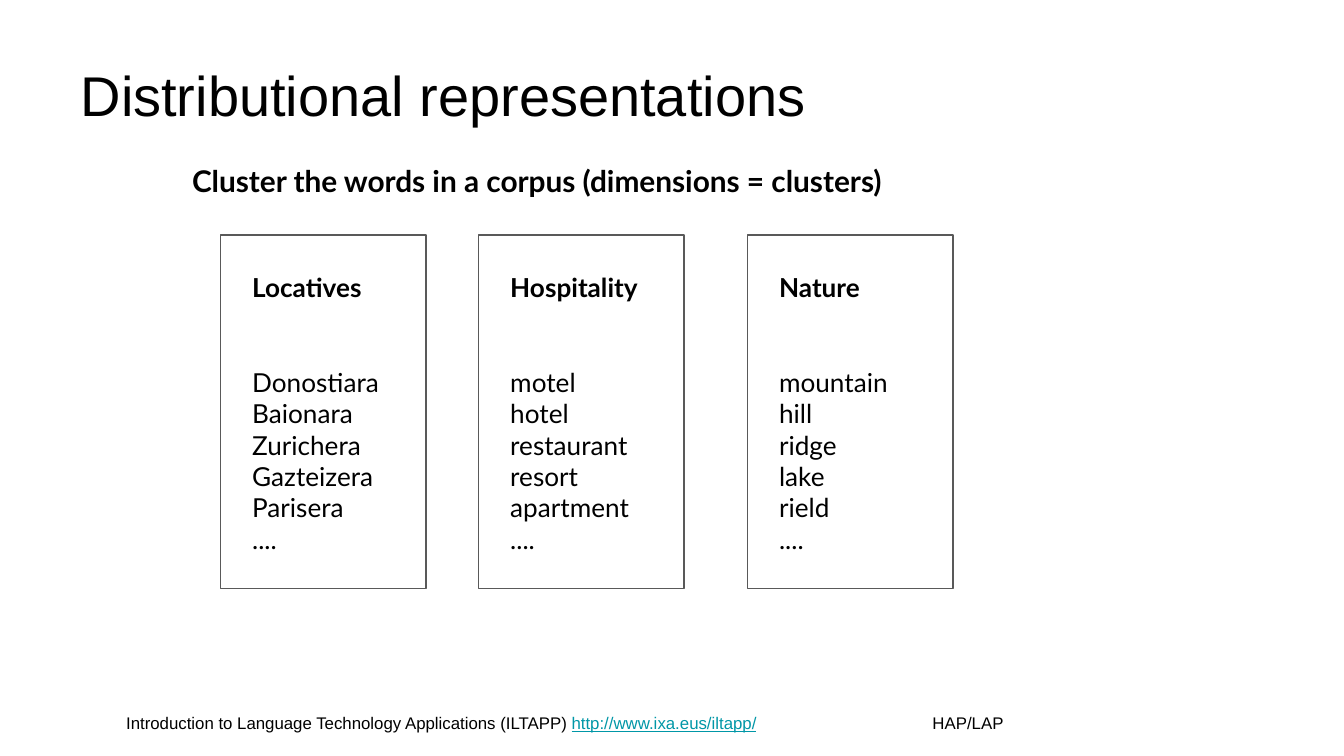
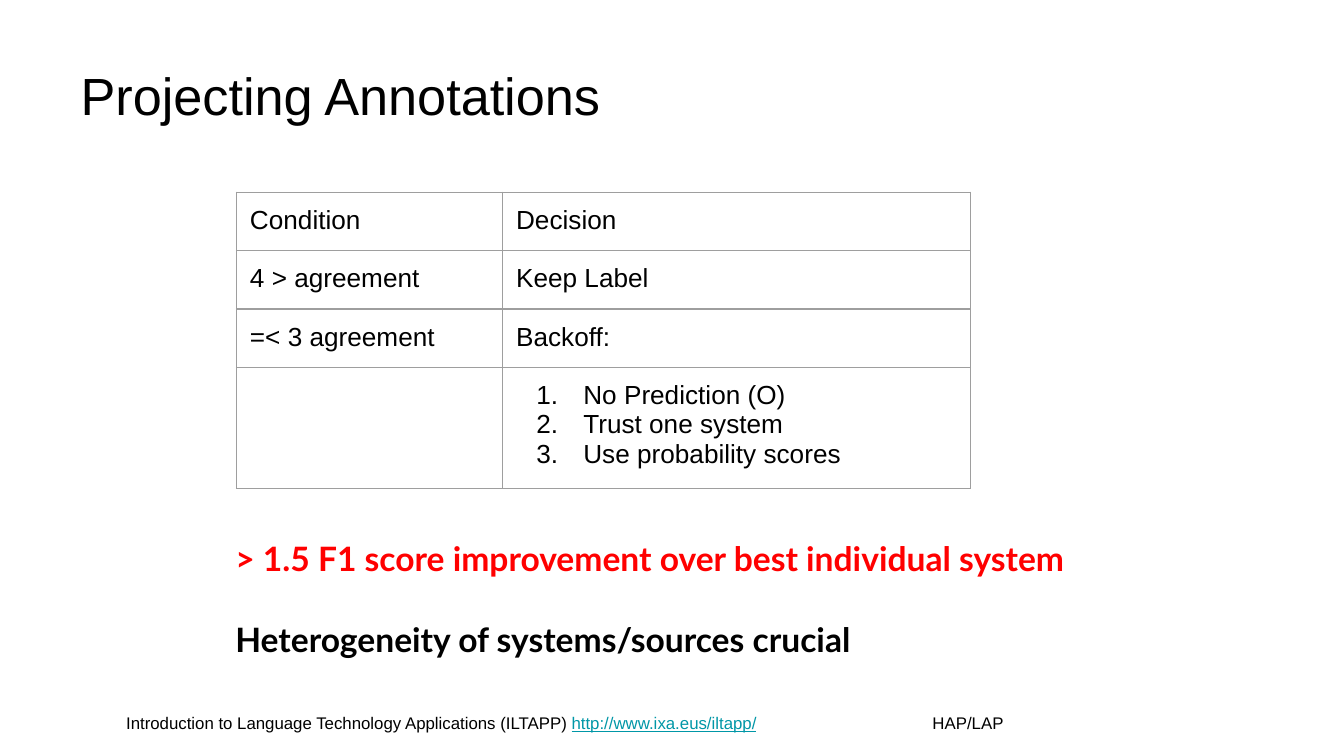
from lxml import etree
from pptx import Presentation
from pptx.dml.color import RGBColor
from pptx.enum import shapes, text
from pptx.oxml.ns import qn
from pptx.util import Pt

BLACK = RGBColor(0x00, 0x00, 0x00)
RED = RGBColor(0xFF, 0x00, 0x00)
TEAL = RGBColor(0x00, 0x97, 0xA7)
CARD_LINE = RGBColor(0x59, 0x59, 0x59)
TABLE_LINE = RGBColor(0x9E, 0x9E, 0x9E)
INSET = 7.2

FOOTER = "Introduction to Language Technology Applications (ILTAPP) "
FOOTER_URL = "http://www.ixa.eus/iltapp/"
COURSE = "HAP/LAP"

CLUSTER_TITLE = "Distributional representations"
CLUSTER_LEAD = "Cluster the words in a corpus (dimensions = clusters)"
CLUSTERS = [  # left edge, heading, words
    (118, "Locatives", ["Donostiara", "Baionara", "Zurichera", "Gazteizera", "Parisera", "...."]),
    (256.3, "Hospitality", ["motel", "hotel", "restaurant", "resort", "apartment", "...."]),
    (400.3, "Nature", ["mountain", "hill", "ridge", "lake", "rield", "...."]),
]
CARD_TOP, CARD_WIDTH, CARD_HEIGHT = 126, 110.2, 189.4

PROJECTION_TITLE = "Projecting Annotations"
DECISIONS = [
    ("Condition", "Decision"),
    ("4 > agreement", "Keep Label"),
    ("=< 3 agreement", "Backoff:"),
]
BACKOFF_STEPS = ["No Prediction (O)", "Trust one system", "Use probability scores"]
COLUMN_WIDTHS = [142.6, 250.6]
ROW_HEIGHTS = [30.24] * len(DECISIONS) + [61.6]
FINDINGS = [
    ("> 1.5 F1 score improvement over best individual system", RED),
    ("Heterogeneity of systems/sources crucial", BLACK),
]


def add_span(para, words, size, font="Arial", color=BLACK, bold=False, underline=False):
    span = para.add_run()
    span.text = words
    span.font.name = font
    span.font.size = Pt(size)
    span.font.color.rgb = color
    span.font.bold = bold
    span.font.underline = underline


def set_insets(frame, side, vertical):
    frame.margin_left = frame.margin_right = Pt(side)
    frame.margin_top = frame.margin_bottom = Pt(vertical)


def add_box(parent, left, top, width, height):
    frame = parent.add_textbox(Pt(left), Pt(top), Pt(width), Pt(height)).text_frame
    frame.word_wrap = True
    set_insets(frame, INSET, INSET)
    return frame


def add_page(deck, title, size):
    """Add a slide with the shared footer and title."""
    page = deck.slides.add_slide(deck.slide_layouts[5])
    para = add_box(page.shapes, 60.5, 376.6, 593.3, 25).paragraphs[0]
    tabs = etree.SubElement(para._p.get_or_add_pPr(), qn("a:tabLst"))
    etree.SubElement(tabs, qn("a:tab"), pos=str(Pt(432)), algn="l")
    add_span(para, FOOTER, 9)
    add_span(para, FOOTER_URL, 9, color=TEAL, underline=True)
    add_span(para, "\t" + COURSE, 9)

    heading = page.shapes.title
    heading.left, heading.top, heading.width, heading.height = Pt(36), Pt(16.6), Pt(648), Pt(67.7)
    frame = heading.text_frame
    frame.auto_size = text.MSO_AUTO_SIZE.NONE
    frame.vertical_anchor = text.MSO_ANCHOR.MIDDLE
    set_insets(frame, INSET, 3.6)
    frame.paragraphs[0].alignment = text.PP_ALIGN.LEFT
    add_span(frame.paragraphs[0], title, size)
    return page


def add_card(page, left, heading, words):
    group = page.shapes.add_group_shape().shapes
    card = group.add_shape(shapes.MSO_SHAPE.FLOWCHART_PROCESS,
                           Pt(left), Pt(CARD_TOP), Pt(CARD_WIDTH), Pt(CARD_HEIGHT))
    card.shadow.inherit = False
    card.fill.background()
    card.line.color.rgb = CARD_LINE
    card.line.width = Pt(0.75)
    frame = add_box(group, left + 10, CARD_TOP + 12.2, 100.8, 144.7)
    add_span(frame.paragraphs[0], heading, 14, "Lato", bold=True)
    for index, word in enumerate(words):
        para = frame.add_paragraph()
        if index == 0:
            para.space_before = Pt(34)
        add_span(para, word, 14, "Lato")


def style_cell(cell):
    set_insets(cell, INSET, INSET)
    props = cell._tc.get_or_add_tcPr()
    for side in ("lnL", "lnR", "lnT", "lnB"):
        line = etree.SubElement(props, qn("a:" + side), w=str(Pt(0.75)))
        fill = etree.SubElement(line, qn("a:solidFill"))
        etree.SubElement(fill, qn("a:srgbClr"), val=str(TABLE_LINE))
    cell.fill.background()


def number_paragraph(para):
    props = para._p.get_or_add_pPr()
    props.set("marL", str(Pt(36)))
    props.set("indent", str(Pt(-25.2)))
    color = etree.SubElement(props, qn("a:buClr"))
    etree.SubElement(color, qn("a:srgbClr"), val=str(BLACK))
    etree.SubElement(props, qn("a:buAutoNum"), type="arabicPeriod")


def add_decision_table(page):
    table = page.shapes.add_table(len(ROW_HEIGHTS), len(COLUMN_WIDTHS), Pt(126.7), Pt(103),
                                  Pt(sum(COLUMN_WIDTHS)), Pt(sum(ROW_HEIGHTS))).table
    table.first_row = table.horz_banding = False
    for column, width in zip(table.columns, COLUMN_WIDTHS):
        column.width = Pt(width)
    for row, height in zip(table.rows, ROW_HEIGHTS):
        row.height = Pt(height)
    for cell in table.iter_cells():
        style_cell(cell)
    for row, entries in enumerate(DECISIONS):
        for column, entry in enumerate(entries):
            add_span(table.cell(row, column).text_frame.paragraphs[0], entry, 14)
    frame = table.cell(len(DECISIONS), 1).text_frame
    for index, step in enumerate(BACKOFF_STEPS):
        para = frame.add_paragraph() if index else frame.paragraphs[0]
        number_paragraph(para)
        add_span(para, step, 14)


def build_clusters(deck):
    page = add_page(deck, CLUSTER_TITLE, 30)
    for left, heading, words in CLUSTERS:
        add_card(page, left, heading, words)
    lead = add_box(page.shapes, 95.8, 80, 453.6, 34.6)
    add_span(lead.paragraphs[0], CLUSTER_LEAD, 16, "Lato", bold=True)


def build_projection(deck):
    page = add_page(deck, PROJECTION_TITLE, 28)
    add_decision_table(page)
    frame = add_box(page.shapes, 119, 281, 489.6, 63.4)
    for index, (finding, color) in enumerate(FINDINGS):
        para = frame.add_paragraph() if index else frame.paragraphs[0]
        if index:
            para.space_before = Pt(21.7)
        add_span(para, finding, 18, "Lato", color, bold=True)


def main():
    deck = Presentation()
    deck.slide_width, deck.slide_height = Pt(720), Pt(405)
    build_clusters(deck)
    build_projection(deck)
    deck.save("out.pptx")


if __name__ == "__main__":
    main()
